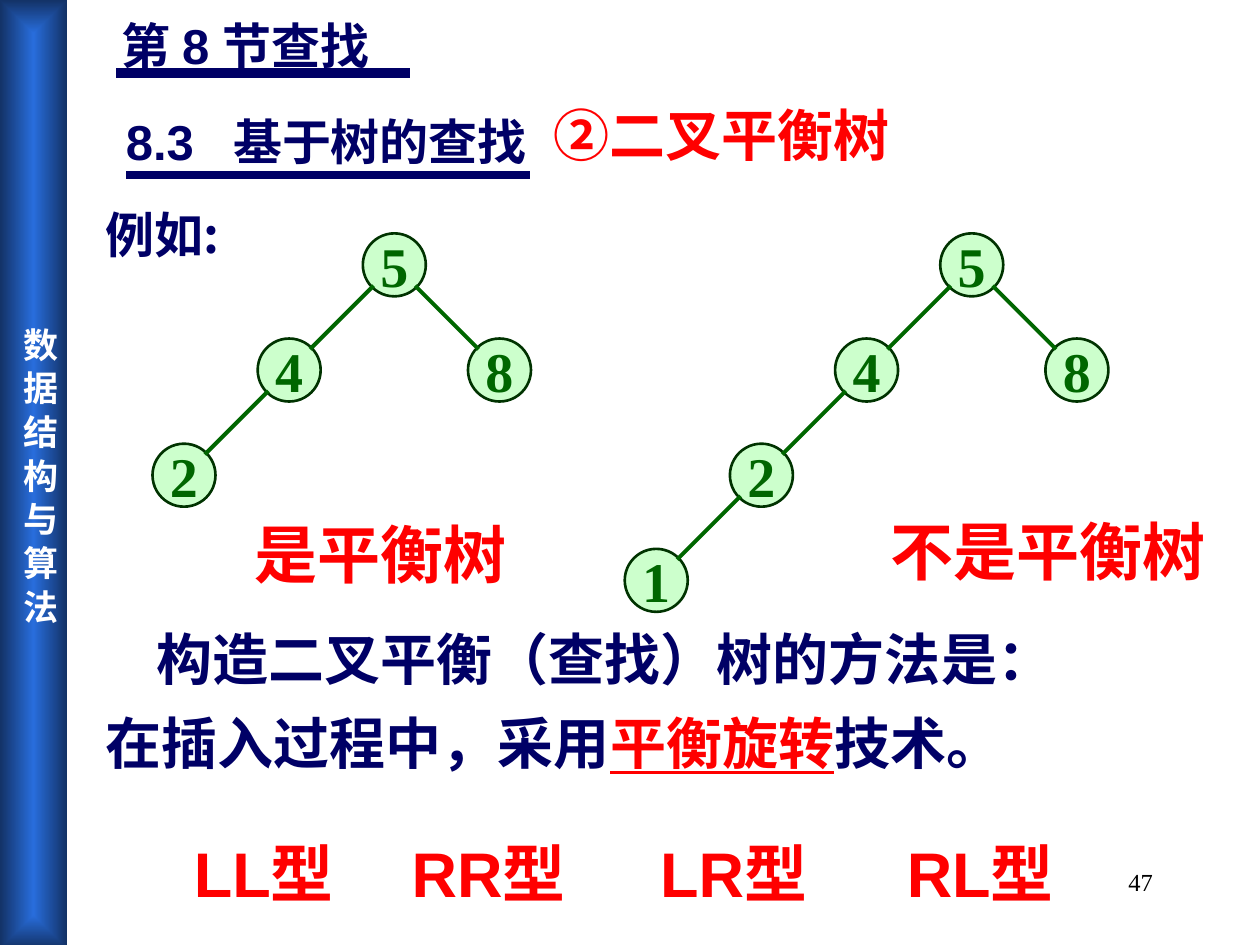
import pptx
import pptx.dml.color
import pptx.enum.shapes
import pptx.enum.text
import pptx.oxml
import pptx.oxml.ns
import pptx.util
from pptx.util import Cm

COLORS = {
    "navy": "000066",
    "red": "FF0000",
    "green": "006600",
    "outline": "003300",
    "node": "CCFFCC",
    "white": "FFFFFF",
    "black": "000000",
    "bar_center": "286DDC",
    "bar_edge": "133266",
}
CJK = "Noto Sans CJK SC"
SERIF = "Times New Roman"
SANS = "Arial"
BAR_WIDTH = 1.35
NODE = 1.27   # node diameter
STEP = 2.12   # distance between tree rows and columns
EDGE = 0.42   # offset from a node's centre to the end of its edge

# Each node: value, column and row relative to the root, index of its parent
BALANCED = [("5", 0, 0, None), ("4", -1, 1, 0), ("8", 1, 1, 0), ("2", -2, 2, 1)]
UNBALANCED = BALANCED + [("1", -3, 3, 3)]


def rgb(name):
    return pptx.dml.color.RGBColor.from_string(COLORS[name])


def xml(body):
    return pptx.oxml.parse_xml(body.replace(">", f" {pptx.oxml.ns.nsdecls('a')}>", 1))


def add_run(p, text, size, color, font=CJK, bold=True, underline=False):
    r = p.add_run()
    r.text = text
    f = r.font
    f.size = pptx.util.Pt(size)
    f.bold = bold
    f.name = font
    f.color.rgb = rgb(color)
    if underline:
        f.underline = True
    f._element.find(pptx.oxml.ns.qn("a:latin")).addnext(
        xml(f'<a:ea typeface="{CJK}"></a:ea>'))


def add_box(s, x, y, w, h, wrap=True):
    tf = s.shapes.add_textbox(Cm(x), Cm(y), Cm(w), Cm(h)).text_frame
    tf.word_wrap = wrap
    return tf


def add_label(s, x, y, w, h, text, size, color, font=CJK, wrap=True):
    p = add_box(s, x, y, w, h, wrap).paragraphs[0]
    add_run(p, text, size, color, font)


def add_line(shapes, x1, y1, x2, y2, color, width):
    c = shapes.add_connector(pptx.enum.shapes.MSO_CONNECTOR.STRAIGHT,
                             Cm(x1), Cm(y1), Cm(x2), Cm(y2))
    c.line.color.rgb = rgb(color)
    c.line.width = pptx.util.Pt(width)
    c._element.spPr.append(xml("<a:effectLst></a:effectLst>"))


def add_sidebar(s):
    """Full-height bar with a rectangular gradient and vertical course title."""
    sp = s.shapes.add_shape(pptx.enum.shapes.MSO_SHAPE.RECTANGLE,
                            0, 0, Cm(BAR_WIDTH), Cm(19.12))
    sp.shadow.inherit = False
    sp.line.fill.background()
    sp._element.spPr.find(pptx.oxml.ns.qn("a:prstGeom")).addnext(xml(
        '<a:gradFill><a:gsLst>'
        f'<a:gs pos="0"><a:srgbClr val="{COLORS["bar_center"]}"/></a:gs>'
        f'<a:gs pos="100000"><a:srgbClr val="{COLORS["bar_edge"]}"/></a:gs>'
        '</a:gsLst><a:path path="rect">'
        '<a:fillToRect l="50000" t="50000" r="50000" b="50000"/>'
        '</a:path></a:gradFill>'))
    tf = add_box(s, 0, 6.35, BAR_WIDTH, 7.5)
    tf.margin_left = tf.margin_right = Cm(0.13)
    tf.margin_top = tf.margin_bottom = Cm(0.25)
    tf.vertical_anchor = pptx.enum.text.MSO_ANCHOR.TOP
    tf._txBody.bodyPr.set("vert", "eaVert")
    add_run(tf.paragraphs[0], "数 据 结 构 与 算 法", 20, "white")


def add_node(shapes, cx, cy, value):
    sp = shapes.add_shape(pptx.enum.shapes.MSO_SHAPE.OVAL,
                          Cm(cx - NODE / 2), Cm(cy - NODE / 2), Cm(NODE), Cm(NODE))
    sp.shadow.inherit = False
    sp.fill.solid()
    sp.fill.fore_color.rgb = rgb("node")
    sp.line.color.rgb = rgb("outline")
    sp.line.width = pptx.util.Pt(1.5)
    tf = sp.text_frame
    tf.word_wrap = False
    tf.vertical_anchor = pptx.enum.text.MSO_ANCHOR.MIDDLE
    p = tf.paragraphs[0]
    p.alignment = pptx.enum.text.PP_ALIGN.CENTER
    add_run(p, value, 32, "green", SERIF)


def add_tree(s, root_x, root_y, nodes):
    shapes = s.shapes.add_group_shape().shapes
    centers = [(root_x + col * STEP, root_y + row * STEP) for _, col, row, _ in nodes]
    for (value, _, _, parent), (x, y) in zip(nodes, centers):
        add_node(shapes, x, y, value)
        if parent is not None:
            px, py = centers[parent]
            dx = EDGE if x > px else -EDGE
            add_line(shapes, px + dx, py + EDGE, x - dx, y - EDGE, "green", 2.25)


def add_headings(s):
    add_label(s, 2.21, 0.18, 6.48, 1.45, "第 8 节查找", 28, "navy", SANS)
    add_line(s.shapes, 2.34, 1.47, 8.26, 1.47, "navy", 6)
    add_line(s.shapes, 2.54, 3.53, 10.69, 3.53, "navy", 4.25)
    p = add_box(s, 2.29, 2.13, 11.61, 1.45).paragraphs[0]
    p._p.get_or_add_pPr().append(xml(
        f'<a:tabLst><a:tab pos="{Cm(2.16)}" algn="l"/></a:tabLst>'))
    add_run(p, "8.3\t", 28, "navy", SANS)
    add_run(p, "基于树的查找", 28, "navy")
    add_label(s, 10.9, 1.91, 8, 1.63, "②二叉平衡树", 32, "red")
    add_label(s, 1.88, 3.99, 3.3, 1.45, "例如:", 28, "navy", wrap=False)


def add_method(s):
    tf = add_box(s, 1.88, 12.12, 21.31, 3.66)
    first, second = tf.paragraphs[0], tf.add_paragraph()
    for p in (first, second):
        p.line_spacing = 1.25
    first._p.get_or_add_pPr().set("indent", str(Cm(1.03)))
    add_run(first, "构造二叉平衡（查找）树的方法是：", 32, "navy")
    add_run(second, "在插入过程中，采用", 32, "navy")
    add_run(second, "平衡旋转", 32, "red", underline=True)
    add_run(second, "技术。", 32, "navy")


def add_page_number(s):
    p = add_box(s, 18.21, 17.35, 5.28, 1.27).paragraphs[0]
    p.alignment = pptx.enum.text.PP_ALIGN.RIGHT
    add_run(p, "47", 14, "black", SERIF, bold=False)


def main():
    prs = pptx.Presentation()
    prs.slide_width, prs.slide_height = Cm(25.4), Cm(19.05)
    s = prs.slides.add_slide(prs.slide_layouts[6])
    add_sidebar(s)
    add_page_number(s)
    add_headings(s)
    add_tree(s, 7.95, 5.34, BALANCED)
    add_tree(s, 19.59, 5.34, UNBALANCED)
    add_label(s, 4.88, 10.26, 6.05, 1.78, "是平衡树", 36, "red", SERIF)
    add_label(s, 17.7, 10.21, 7.42, 1.78, "不是平衡树", 36, "red", SERIF)
    add_method(s)
    for kind, x in (("LL", 3.66), ("RR", 8.05), ("LR", 13.06), ("RL", 18.03)):
        add_label(s, x, 16.69, 4.2, 1.78, f"{kind}型", 36, "red", SANS)
    prs.save("out.pptx")


if __name__ == "__main__":
    main()
